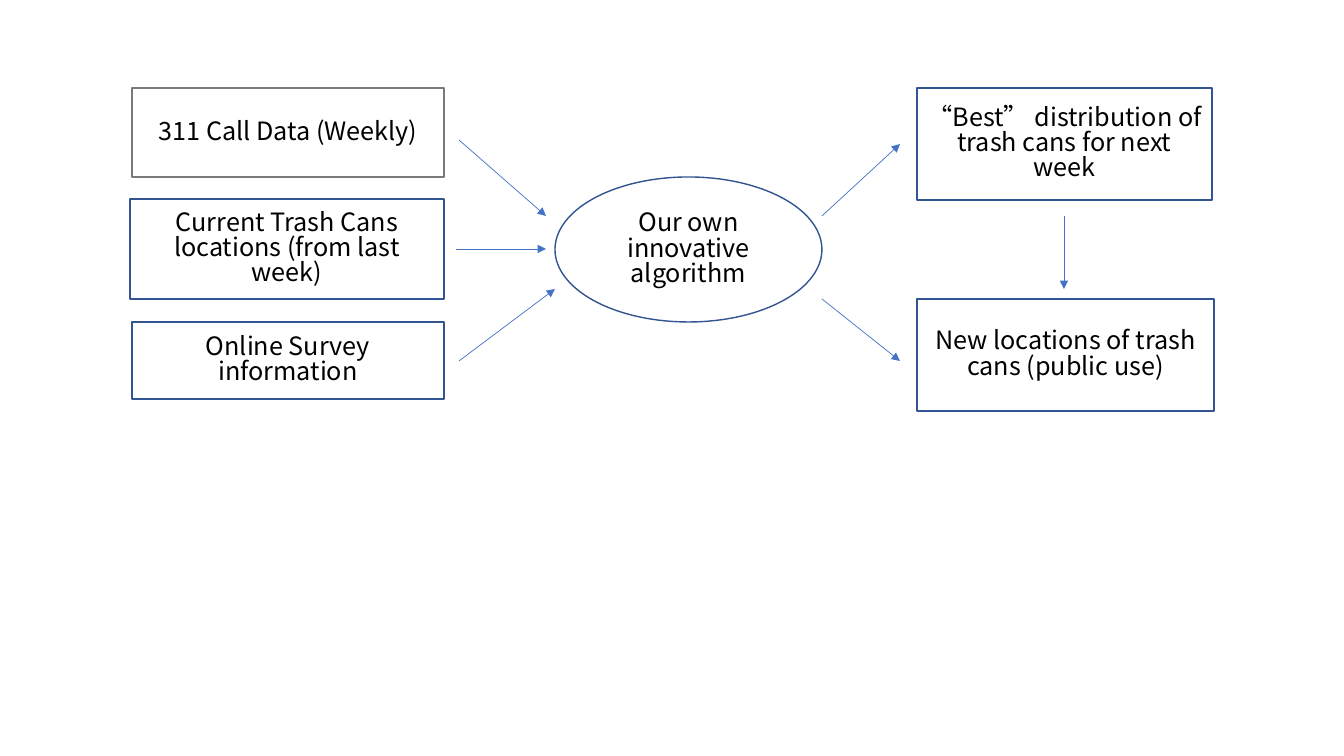
from pptx import Presentation
from pptx.dml.color import RGBColor
from pptx.enum.shapes import MSO_CONNECTOR, MSO_SHAPE
from pptx.enum.text import MSO_ANCHOR, PP_ALIGN
from pptx.oxml.ns import qn
from pptx.util import Pt
from lxml.etree import SubElement

SCALE = 914400 / 100.8
COLORS = {"white": "FFFFFF", "black": "000000", "gray": "7A7A7A",
          "navy": "325491", "blue": "4472C4"}
FONT = {"name": "Noto Sans CJK SC", "size": Pt(18)}
PARAGRAPH = {"alignment": PP_ALIGN.CENTER, "line_spacing": 0.83}
FRAME = {"word_wrap": True, "vertical_anchor": MSO_ANCHOR.MIDDLE}


def emu(*pixels):
    return [round(pixel * SCALE) for pixel in pixels]


def apply(target, values):
    for name, value in values.items():
        setattr(target, name, value)


deck = Presentation()
deck.slide_width, deck.slide_height = emu(1344, 756)
page = deck.slides.add_slide(deck.slide_layouts[6])

# Inputs, algorithm and outputs
RECT, OVAL = MSO_SHAPE.RECTANGLE, MSO_SHAPE.OVAL
boxes = [
    (RECT, (132, 88, 312, 89), "gray", "311 Call Data (Weekly)"),
    (RECT, (130, 199, 314, 100), "navy", "Current Trash Cans locations (from last week)"),
    (RECT, (132, 322, 312, 77), "navy", "Online Survey information"),
    (OVAL, (555, 177, 267, 145), "navy", "Our own innovative algorithm"),
    (RECT, (917, 88, 295, 112), "navy", "“Best” distribution of trash cans for next week"),
    (RECT, (917, 299, 297, 112), "navy", "New locations of trash cans (public use)"),
]
for kind, place, outline, text in boxes:
    box = page.shapes.add_shape(kind, *emu(*place))
    box.shadow.inherit = False
    box.fill.solid()
    box.fill.fore_color.rgb = RGBColor.from_string(COLORS["white"])
    box.line.color.rgb = RGBColor.from_string(COLORS[outline])
    box.line.width = Pt(1)
    apply(box.text_frame, FRAME)
    para = box.text_frame.paragraphs[0]
    apply(para, PARAGRAPH)
    span = para.add_run()
    span.text = text
    apply(span.font, FONT)
    span.font.color.rgb = RGBColor.from_string(COLORS["black"])
    SubElement(span.font._element, qn("a:ea"), typeface=FONT["name"])

# Flow arrows
arrows = [
    (459, 140, 546, 216), (456, 249, 546, 249), (459, 361, 555, 289),
    (822, 216, 900, 144), (1064, 216, 1064, 289), (822, 299, 900, 361),
]
for ends in arrows:
    arrow = page.shapes.add_connector(MSO_CONNECTOR.STRAIGHT, *emu(*ends))
    arrow.line.color.rgb = RGBColor.from_string(COLORS["blue"])
    arrow.line.width = Pt(0.5)
    SubElement(arrow.line._get_or_add_ln(), qn("a:tailEnd"), type="triangle")
    SubElement(arrow._element.spPr, qn("a:effectLst"))

deck.save("out.pptx")
